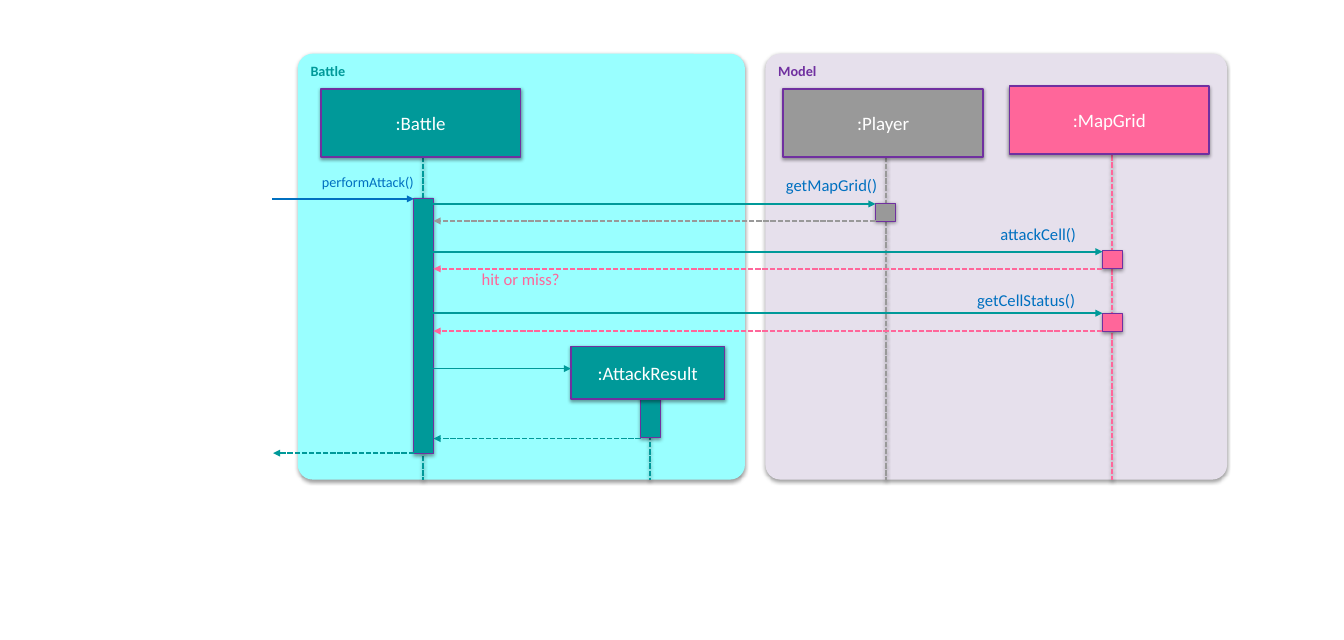
from lxml.etree import SubElement as Sub
from pptx import Presentation
from pptx.dml.color import RGBColor as RGB
from pptx.enum.dml import MSO_LINE as DASH
from pptx.enum.shapes import MSO_CONNECTOR as LINK, MSO_SHAPE as KIND
from pptx.enum.text import MSO_ANCHOR as ANCHOR, PP_ALIGN as ALIGN
from pptx.oxml.ns import qn
from pptx.util import Pt

PX = 9144  # 100 px to the inch
HUE = {"teal": "009999", "cyan": "99FFFF", "lilac": "E6E0EC",
       "purple": "7030A0", "gray": "999999", "pink": "FF669A",
       "blue": "0070C0", "white": "FFFFFF", "black": "000000"}

deck = Presentation()
deck.slide_width, deck.slide_height = 1575 * PX, 750 * PX
slide = deck.slides.add_slide(deck.slide_layouts[6])


def finish(part, text="", size=16, tint="white", bold=False, shade=True):
    """Write the text of a part, if any, and give it a soft shadow."""
    if text:
        part.text_frame.text = text
        font = part.text_frame.paragraphs[0].runs[0].font
        font.name, font.size, font.bold = "Calibri", Pt(size), bold
        font.color.rgb = RGB.from_string(HUE[tint])
    if shade:
        props = part._element.spPr
        glow = props.find(qn("a:effectLst"))
        if glow is None:
            glow = Sub(props, qn("a:effectLst"))
        cast = Sub(glow, qn("a:outerShdw"), blurRad="40000", dist="20000",
                   dir="5400000", rotWithShape="0")
        color = Sub(cast, qn("a:srgbClr"), val=HUE["black"])
        Sub(color, qn("a:alpha"), val="38000")


def link(x1, y1, x2, y2, tint, dash=False, arrow=True, width=1.5):
    """Draw a straight line, with an arrowhead at its end if asked."""
    line = slide.shapes.add_connector(
        LINK.STRAIGHT, x1 * PX, y1 * PX, x2 * PX, y2 * PX)
    line.line.color.rgb = RGB.from_string(HUE[tint])
    line.line.width = Pt(width)
    if dash:
        line.line.dash_style = DASH.SQUARE_DOT
    if arrow:
        Sub(line.line._get_or_add_ln(), qn("a:tailEnd"), type="triangle")
    Sub(line._element.spPr, qn("a:effectLst"))
    return line


# Package panels
for name, x, wide, fill, tint in [("Battle", 349, 524, "cyan", "teal"),
                                  ("Model", 897, 541, "lilac", "purple")]:
    panel = slide.shapes.add_shape(
        KIND.ROUNDED_RECTANGLE, x * PX, 63 * PX, wide * PX, 499 * PX)
    panel.adjustments[0] = 0.035
    panel.fill.solid()
    panel.fill.fore_color.rgb = RGB.from_string(HUE[fill])
    panel.line.fill.background()
    panel.shadow.inherit = False
    finish(panel, name, 12, tint, True)
    panel.text_frame.vertical_anchor = ANCHOR.TOP
    panel.text_frame.paragraphs[0].alignment = ALIGN.LEFT

# Lifelines
for x, top, tint in [(496, 184, "teal"), (1038, 184, "gray"),
                     (762, 468, "teal"), (1303, 182, "pink")]:
    finish(link(x, top, x, 563, tint, dash=True, arrow=False))

# Activation bars and object boxes
for name, x, y, wide, high, fill in [
        ("", 485, 232, 23, 299, "teal"),
        ("", 1026, 238, 23, 21, "gray"),
        ("", 1292, 294, 23, 21, "pink"),
        ("", 1292, 367, 23, 21, "pink"),
        ("", 751, 464, 23, 49, "teal"),
        (":Battle", 376, 104, 234, 80, "teal"),
        (":Player", 918, 104, 234, 80, "gray"),
        (":MapGrid", 1183, 101, 234, 80, "pink"),
        (":AttackResult", 669, 406, 180, 62, "teal")]:
    box = slide.shapes.add_shape(
        KIND.RECTANGLE, x * PX, y * PX, wide * PX, high * PX)
    box.fill.solid()
    box.fill.fore_color.rgb = RGB.from_string(HUE[fill])
    box.line.color.rgb = RGB.from_string(HUE["purple"])
    box.line.width = Pt(1.5 if name else 0.75)
    box.shadow.inherit = False
    finish(box, name)
    box.text_frame.vertical_anchor = ANCHOR.MIDDLE
    box.text_frame.paragraphs[0].alignment = ALIGN.CENTER

# Calls
for x1, y, x2, tint, width in [(319, 233, 485, "blue", 1.5),
                               (508, 239, 1026, "teal", 1.5),
                               (508, 295, 1292, "teal", 1.5),
                               (508, 367, 1292, "teal", 1.5),
                               (508, 432, 669, "teal", 0.75)]:
    link(x1, y, x2, y, tint, width=width)

# Returns
for x1, y, x2, tint in [(1026, 259, 508, "gray"), (1292, 315, 508, "pink"),
                        (1292, 388, 508, "pink"), (751, 514, 508, "teal"),
                        (485, 531, 320, "teal")]:
    link(x1, y, x2, y, tint, dash=True)

# Message labels
for text, x, y, wide, size, tint in [
        ("performAttack()", 247, 203, 238, 12, "blue"),
        ("getMapGrid()", 872, 205, 156, 14, "blue"),
        ("attackCell()", 1141, 263, 120, 14, "blue"),
        ("getCellStatus()", 1097, 340, 163, 14, "blue"),
        ("hit or miss?", 536, 315, 120, 14, "pink")]:
    label = slide.shapes.add_textbox(x * PX, y * PX, wide * PX, 23 * PX)
    frame = label.text_frame
    frame.word_wrap = True
    frame.margin_left = frame.margin_right = 0
    frame.margin_top = frame.margin_bottom = 0
    finish(label, text, size, tint, shade=False)
    frame.paragraphs[0].alignment = ALIGN.RIGHT

deck.save("out.pptx")
